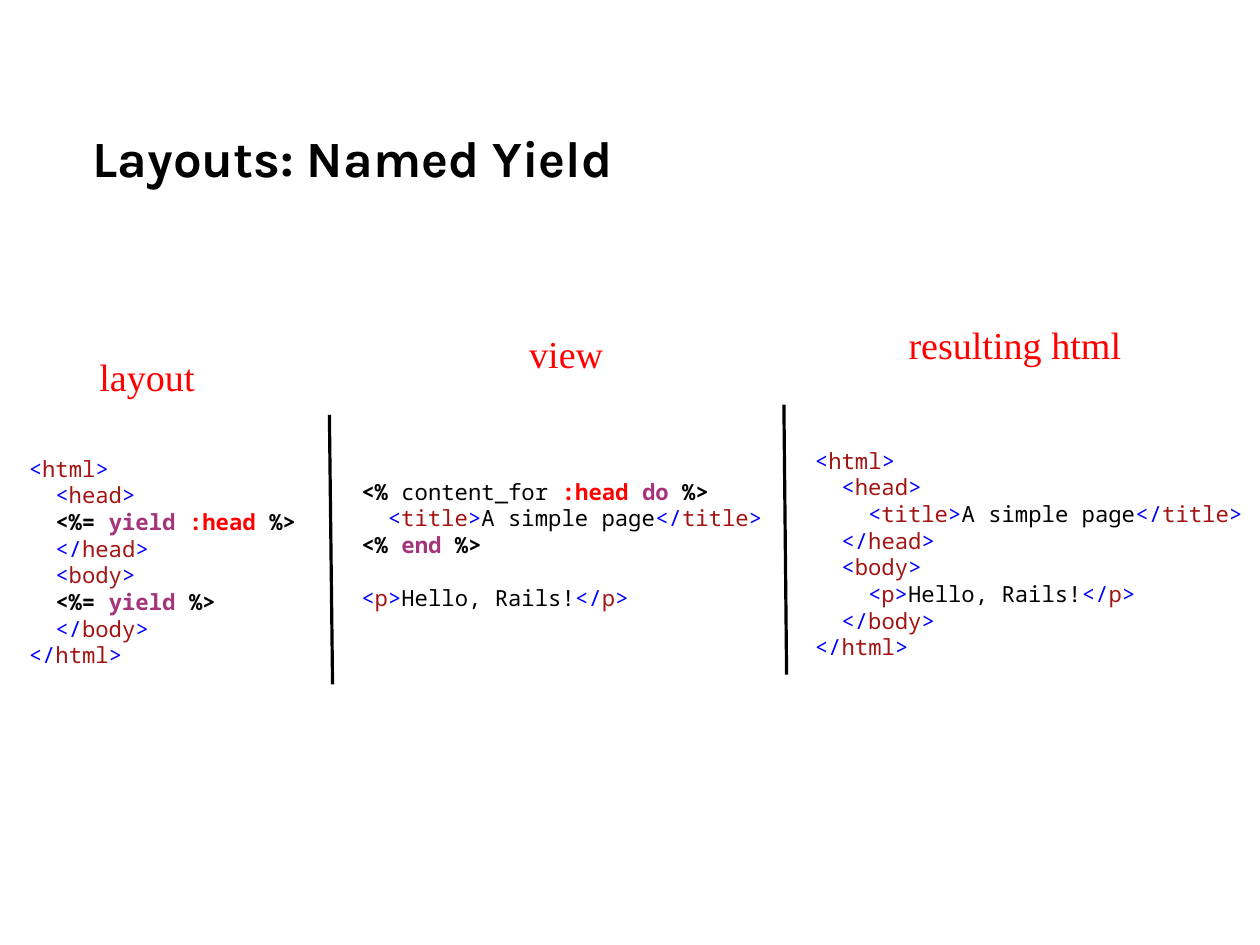
from pptx import Presentation
from pptx.dml.color import RGBColor
from pptx.enum.shapes import MSO_CONNECTOR
from pptx.enum.text import MSO_ANCHOR, PP_ALIGN
from pptx.oxml.ns import qn
from pptx.util import Cm, Pt
from lxml import etree

STRAIGHT = MSO_CONNECTOR.STRAIGHT
MIDDLE = MSO_ANCHOR.MIDDLE
LEFT = PP_ALIGN.LEFT

BLACK = RGBColor(0x00, 0x00, 0x00)
RED = RGBColor(0xFF, 0x00, 0x00)
BLUE = RGBColor(0x00, 0x00, 0xFF)
BROWN = RGBColor(0xA3, 0x15, 0x15)
PURPLE = RGBColor(0xA4, 0x35, 0x7A)

TITLE_FONT = "Karla"
LABEL_FONT = "Times New Roman"
CODE_FONT = "Noto Sans Mono"
CODE_LINE = Pt(16.8)
INDENT_STEP = Cm(0.59)


def plain(text):
    return [(text, BLACK, False)]


def bold(text, color=BLACK):
    return [(text, color, True)]


def tag(name, opening="<"):
    return [(opening, BLUE, False), (name, BROWN, False), (">", BLUE, False)]


def end_tag(name):
    return tag(name, "</")


def element(name, content):
    return tag(name) + plain(content) + end_tag(name)


PAGE_TITLE = element("title", "A simple page")
GREETING = element("p", "Hello, Rails!")
YIELD = bold("<%= ") + bold("yield ", PURPLE)
ERB_END = bold("%>")


def html_page(head, body, depth):
    return [
        (0, tag("html")),
        (1, tag("head")),
        (depth, head),
        (1, end_tag("head")),
        (1, tag("body")),
        (depth, body),
        (1, end_tag("body")),
        (0, end_tag("html")),
    ]


LAYOUT_CODE = html_page(YIELD + bold(":head ", RED) + ERB_END, YIELD + ERB_END, 1)
VIEW_CODE = [
    (0, bold("<%") + plain(" content_for ") + bold(":head ", RED)
     + bold("do ", PURPLE) + ERB_END),
    (1, PAGE_TITLE),
    (0, bold("<% ") + bold("end ", PURPLE) + ERB_END),
    (0, GREETING),
]
RESULT_CODE = html_page(PAGE_TITLE, GREETING, 2)


def clear_margins(frame):
    frame.margin_left = frame.margin_right = 0
    frame.margin_top = frame.margin_bottom = 0


def set_font(font, name, size, color, is_bold=False):
    font.name = name
    font.size = Pt(size)
    font.color.rgb = color
    font.bold = is_bold


def add_frame(slide, left, top, width, height, wrap):
    box = slide.shapes.add_textbox(Cm(left), Cm(top), Cm(width), Cm(height))
    frame = box.text_frame
    clear_margins(frame)
    frame.word_wrap = wrap
    return frame


def set_title(slide, text):
    title = slide.shapes.title
    title.left, title.top = Cm(2.06), Cm(1.75)
    title.width, title.height = Cm(23.9), Cm(3.5)
    frame = title.text_frame
    clear_margins(frame)
    frame.vertical_anchor = MIDDLE
    frame.text = text
    heading = frame.paragraphs[0]
    heading.alignment = LEFT
    set_font(heading.font, TITLE_FONT, 32, BLACK, True)


def add_label(slide, text, left, top, width):
    label = add_frame(slide, left, top, width, 1.02, False).paragraphs[0]
    label.text = text
    set_font(label.font, LABEL_FONT, 24, RED)


def add_code(slide, lines, left, top, width, height):
    frame = add_frame(slide, left, top, width, height, True)
    for number, (depth, pieces) in enumerate(lines):
        line = frame.add_paragraph() if number else frame.paragraphs[0]
        line.line_spacing = CODE_LINE
        if depth:
            line._p.get_or_add_pPr().set("marL", str(depth * INDENT_STEP))
        for text, color, is_bold in pieces:
            run = line.add_run()
            run.text = text
            set_font(run.font, CODE_FONT, 14, color, is_bold)
    return frame


def add_divider(slide, x1, y1, x2, y2):
    divider = slide.shapes.add_connector(STRAIGHT, Cm(x1), Cm(y1), Cm(x2), Cm(y2))
    divider.line.color.rgb = BLACK
    divider.line.width = Pt(0)
    etree.SubElement(divider._element.spPr, qn("a:effectLst"))


def main():
    deck = Presentation()
    deck.slide_width, deck.slide_height = Cm(28), Cm(21)
    slide = deck.slides.add_slide(deck.slide_layouts[5])

    set_title(slide, "Layouts: Named Yield")
    add_divider(slide, 7.32, 9.22, 7.39, 15.21)
    add_divider(slide, 17.42, 8.99, 17.48, 14.99)

    add_label(slide, "layout", 2.21, 7.85, 2.13)
    add_label(slide, "view", 11.76, 7.34, 1.65)
    add_label(slide, "resulting html", 20.19, 7.14, 4.75)

    add_code(slide, LAYOUT_CODE, 0.64, 10.11, 7.54, 4.65)
    view = add_code(slide, VIEW_CODE, 8.03, 10.62, 9.12, 2.9)
    view.paragraphs[-1].space_before = CODE_LINE
    add_code(slide, RESULT_CODE, 18.11, 9.93, 10.21, 4.65)

    deck.save("out.pptx")


if __name__ == "__main__":
    main()
